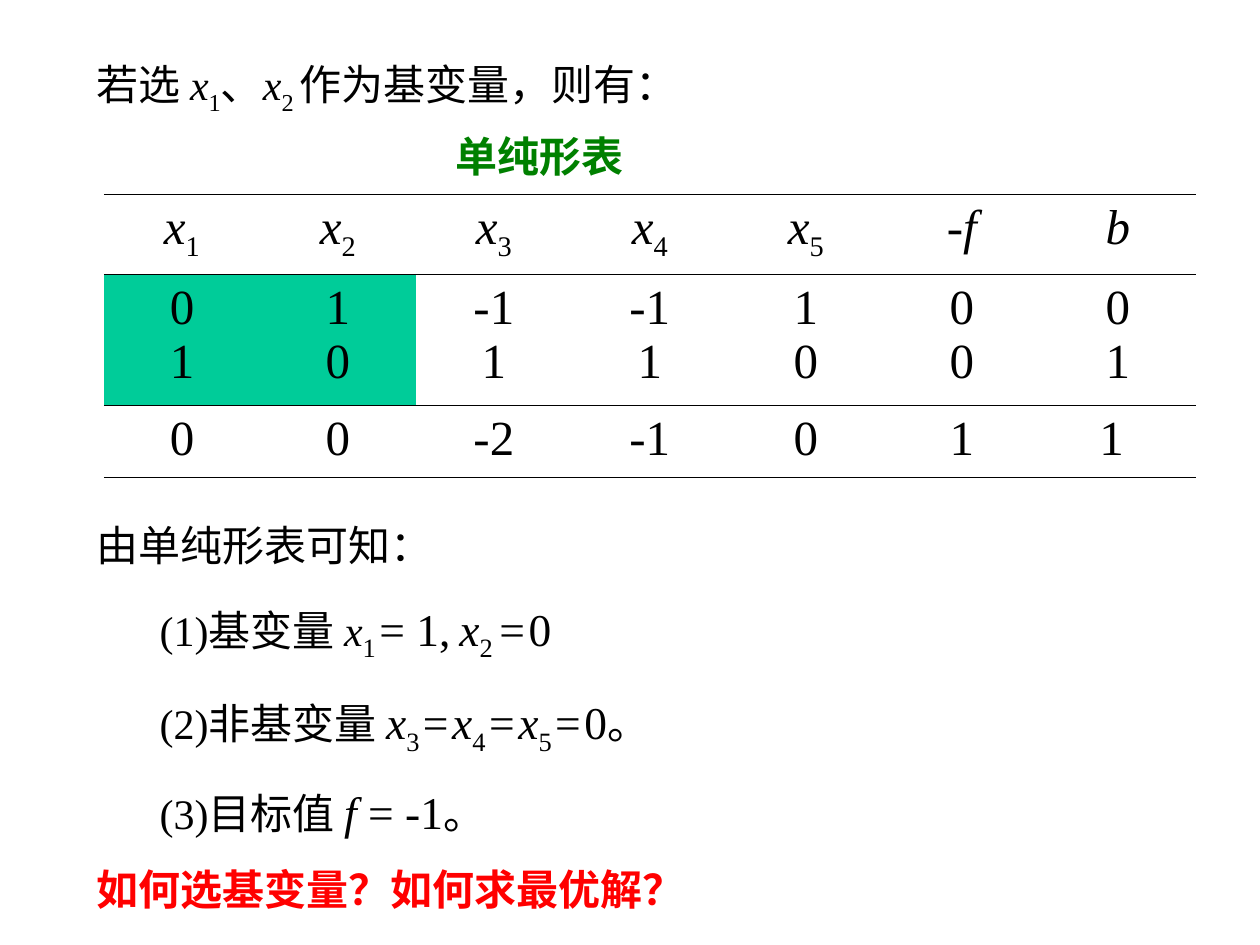
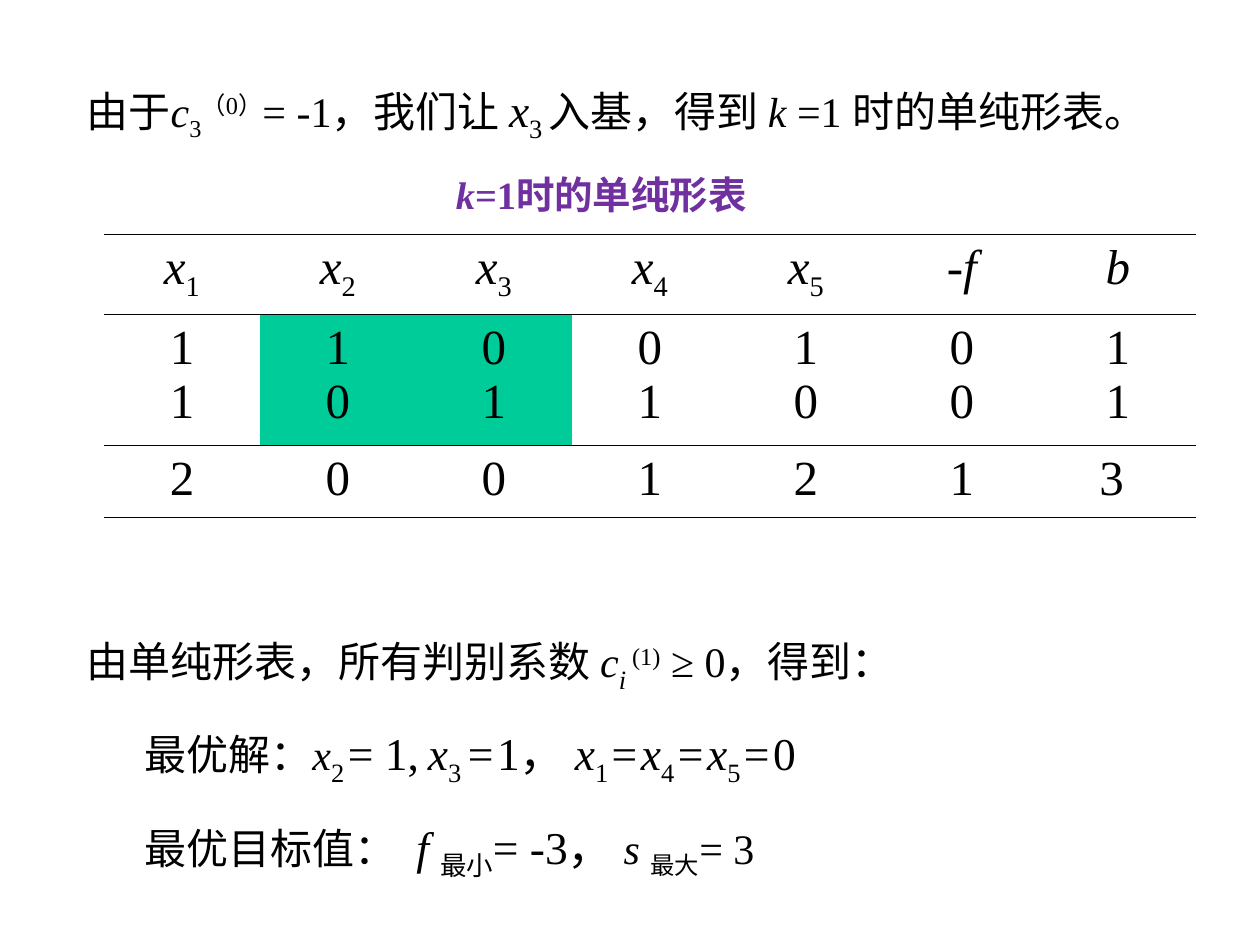
from lxml.etree import SubElement
from pptx import Presentation
from pptx.dml.color import RGBColor
from pptx.enum.text import PP_ALIGN as Align
from pptx.oxml.ns import qn
from pptx.util import Pt

BLACK = RGBColor(0x00, 0x00, 0x00)
GREEN = RGBColor(0x00, 0x80, 0x00)
PURPLE = RGBColor(0x70, 0x30, 0xA0)
RED = RGBColor(0xFF, 0x00, 0x00)
BASIS_FILL = RGBColor(0x00, 0xCC, 0x99)

BASELINES = {"sub": "-25000", "sup": "30000"}
THIN = (" ", "", 8)
HEADINGS = [
    *([("x", "i", 28), (str(i), "sub", 28)] for i in range(1, 6)),
    [("-f", "i", 28)],
    [("b", "i", 28)],
]


def variable(index, size=26):
    return [("x", "i", size), (index, "sub", 26)]


def basis_values(first, second, value):
    return [*variable(first, 24), THIN, ("= 1,", "", 26), (" ", "", 20),
            *variable(second + " "), ("=", "", 26), THIN, (value, "", 26)]


def all_zero(indices):
    terms = []
    for index in indices:
        terms += [*variable(index), THIN, ("=", "", 26), THIN]
    return terms + [("0", "", 26)]


class LectureDeck:
    """Simplex lecture slides: one style and the slide being filled."""

    font_name = "Times New Roman"
    table_left, column_width = 59.4, 89.14
    row_heights = (45.6, 74.9, 41)

    def __init__(self):
        self.prs = Presentation()
        self.prs.slide_width, self.prs.slide_height = Pt(720), Pt(540)
        self.slide = None

    def new_slide(self):
        self.slide = self.prs.slides.add_slide(self.prs.slide_layouts[6])

    def add_pieces(self, paragraph, pieces, color=BLACK, bold=False):
        for text, style, size in pieces:
            run = paragraph.add_run()
            run.text = text
            font = run.font
            font.name, font.size, font.bold = self.font_name, Pt(size), bold
            font.color.rgb = color
            font.italic = "i" in style.split()
            for mark in style.split():
                if mark in BASELINES:
                    font._element.set("baseline", BASELINES[mark])
                elif mark == "wide":
                    font._element.set("spc", "600")

    def text(self, left, top, width, height, lines, spacing=1.0,
             align=Align.LEFT, wrap=True):
        box = self.slide.shapes.add_textbox(
            Pt(left), Pt(top), Pt(width), Pt(height))
        frame = box.text_frame
        frame.word_wrap = wrap
        for number, (pieces, indent, color) in enumerate(lines):
            paragraph = frame.add_paragraph() if number else frame.paragraphs[0]
            paragraph.alignment = align
            paragraph.line_spacing = spacing
            paragraph._p.get_or_add_pPr().set("marL", str(Pt(indent)))
            self.add_pieces(paragraph, pieces, color, bold=color != BLACK)

    def caption(self, top, pieces, color):
        self.text(253.4, top, 215, 36, [(pieces, 0, color)], wrap=False)

    def rule_cell(self, cell):
        properties = cell._tc.get_or_add_tcPr()
        for side in "LRTB":
            ruled = side in "TB"
            line = SubElement(properties, qn(f"a:ln{side}"),
                              w=str(Pt(0.45) if ruled else 0))
            if ruled:
                fill = SubElement(line, qn("a:solidFill"))
                SubElement(fill, qn("a:srgbClr"), val=str(BLACK))
            else:
                SubElement(line, qn("a:noFill"))

    def tableau(self, top, constraints, objective, basis):
        count = len(HEADINGS)
        table = self.slide.shapes.add_table(
            3, count, Pt(self.table_left), Pt(top),
            Pt(self.column_width * count), Pt(sum(self.row_heights))).table
        table.first_row = table.horz_banding = False
        for row, height in zip(table.rows, self.row_heights):
            row.height = Pt(height)
        for column in table.columns:
            column.width = Pt(self.column_width)
        rows = [
            [[heading] for heading in HEADINGS],
            [[[(value, "", 28)] for value in pair] for pair in zip(*constraints)],
            [[[(value, "", 28)]] for value in objective],
        ]
        for r, row in enumerate(rows):
            for c, lines in enumerate(row):
                cell = table.cell(r, c)
                self.rule_cell(cell)
                if r == 1 and c in basis:
                    cell.fill.solid()
                    cell.fill.fore_color.rgb = BASIS_FILL
                else:
                    cell.fill.background()
                frame = cell.text_frame
                for number, pieces in enumerate(lines):
                    paragraph = frame.add_paragraph() if number else frame.paragraphs[0]
                    paragraph.alignment = Align.CENTER
                    self.add_pieces(paragraph, pieces)


def basis_slide(deck):
    deck.new_slide()
    deck.caption(71.3, [("单纯形表", "", 24)], GREEN)
    intro = [("若选 ", "", 24), ("x", "i", 24), ("1", "sub", 24), ("、", "", 24),
             ("x", "i", 24), ("2 ", "sub", 24), ("作为基变量，则有：", "", 24)]
    deck.text(48.2, 20.2, 612, 50, [(intro, 0, BLACK)], 1.3, Align.JUSTIFY)
    deck.tableau(111.2, [("0", "1", "-1", "-1", "1", "0", "0"),
                         ("1", "0", "1", "1", "0", "0", "1")],
                 ("0", "0", "-2", "-1", "0", "1", "1 "), basis=(0, 1))
    findings = [
        ([("由单纯形表可知：", "", 24)], 0, BLACK),
        ([("(1)基变量 ", "", 24), *basis_values("1", "2", "0")], 36, BLACK),
        ([("(2)非基变量 ", "", 24), *all_zero("345"), ("。", "", 24)], 36, BLACK),
        ([("(3)目标值 ", "", 24), ("f ", "i", 26), ("= -1", "", 26),
          ("。", "", 24)], 36, BLACK),
        ([("如何选基变量？如何求最优解？", "", 24)], 0, RED),
    ]
    deck.text(48.2, 279, 612, 250, findings, 1.5, Align.JUSTIFY)


def optimum_slide(deck):
    deck.new_slide()
    deck.caption(94.3, [("k", "i", 22), ("=1时的单纯形表", "", 22)], PURPLE)
    intro = [("由于", "", 24), ("c", "i", 24), ("3", "sub", 24),
             ("（0）", "sup", 24), ("= -1，我们让 ", "", 24), *variable("3"),
             (" ", "sub", 24), ("入基，得到 ", "", 24), ("k ", "i", 24),
             ("=1 时的单纯形表。", "", 24)]
    deck.text(42.5, 43.2, 623.5, 75, [(intro, 0, BLACK)])
    deck.tableau(133.9, [("1", "1", "0", "0", "1", "0", "1"),
                         ("1", "0", "1", "1", "0", "0", "1")],
                 ("2", "0", "0", "1", "2", "1", "3 "), basis=(1, 2))
    results = [
        ([("由单纯形表，所有判别系数 ", "", 24), ("c", "i", 24),
          ("i", "i sub", 26), (" (1)", "sup", 24),
          (" ≥ 0，得到：", "", 24)], 0, BLACK),
        ([("最优解：", "", 24), *basis_values("2", "3", "1，"),
          (" ", "", 24), *all_zero("145")], 33, BLACK),
        ([("最优目标值：", "", 24), (" ", "wide", 24), ("f ", "i", 26),
          ("最小", "sub", 26), ("= -3， ", "", 26), ("s ", "i", 24),
          ("最大", "sub", 24), ("= 3", "", 24)], 33, BLACK),
    ]
    deck.text(42.5, 340, 623.5, 165, results, 1.5, Align.JUSTIFY)


def main():
    deck = LectureDeck()
    basis_slide(deck)
    optimum_slide(deck)
    deck.prs.save("out.pptx")


if __name__ == "__main__":
    main()
